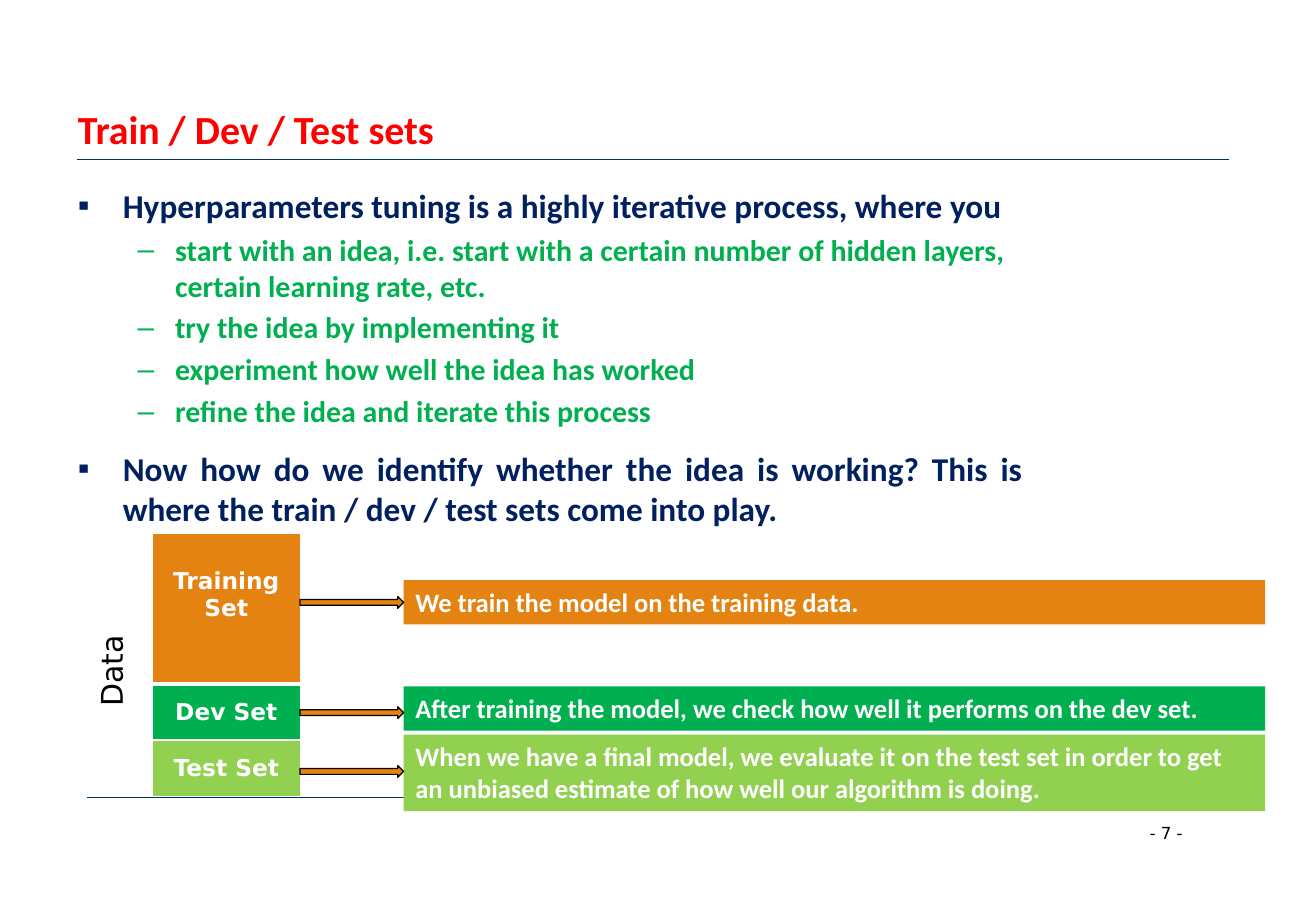
"""Build the slide on train, dev and test sets."""
from lxml import etree
from pptx import Presentation
from pptx import util as u
from pptx.dml.color import RGBColor
from pptx.enum import shapes, text
from pptx.oxml import ns

HUES = {"red": "FF0000", "navy": "002060", "green": "00B050", "orange": "E48312",
        "lime": "92D050", "white": "FFFFFF", "black": "000000", "rule": "003366"}


def style(frame, size, hue, bold=False, font="Calibri"):
    for para in frame.paragraphs:
        for run in para.runs:
            run.font.size, run.font.bold, run.font.name = u.Pt(size), bold, font
            run.font.color.rgb = RGBColor.from_string(HUES[hue])


def place(shape, left, top, width, height):
    shape.left, shape.top = u.Cm(left), u.Cm(top)
    shape.width, shape.height = u.Cm(width), u.Cm(height)


deck = Presentation()
deck.slide_width, deck.slide_height = u.Cm(27.94), u.Cm(19.05)
slide = deck.slides.add_slide(deck.slide_layouts[1])
parts = slide.shapes

for left, top in [(1.63, 3.38), (1.85, 16.94)]:
    rule = parts.add_connector(shapes.MSO_CONNECTOR.STRAIGHT, u.Cm(left), u.Cm(top),
                               u.Cm(left + 24.46), u.Cm(top))
    rule.line.color.rgb = RGBColor.from_string(HUES["rule"])
    rule.line.width = u.Pt(0.75)
    etree.SubElement(rule._element.spPr, ns.qn("a:effectLst"))

title = parts.title
place(title, 1.4, 2.11, 19.56, 1.22)
title.text_frame.text = "Train / Dev / Test sets"
title.text_frame.auto_size = text.MSO_AUTO_SIZE.NONE
title.text_frame.vertical_anchor = text.MSO_ANCHOR.MIDDLE
title.text_frame.paragraphs[0].alignment = text.PP_ALIGN.LEFT
style(title.text_frame, 24, "red", True)

points = [
    (0, "Hyperparameters tuning is a highly iterative process, where you"),
    (1, "start with an idea, i.e. start with a certain number of hidden layers, "
        "certain learning rate, etc."),
    (1, "try the idea by implementing it"),
    (1, "experiment how well the idea has worked"),
    (1, "refine the idea and iterate this process"),
    (0, "Now how do we identify whether the idea is working? This is where the "
        "train / dev / test sets come into play."),
]
body = slide.placeholders[1]
place(body, 1.4, 3.81, 20.57, 7.72)
frame = body.text_frame
frame.text = "\n".join(words for _, words in points)
frame.auto_size = text.MSO_AUTO_SIZE.NONE
style(frame, 20, "navy", True)
for para, (level, _) in zip(frame.paragraphs, points):
    para.level = level
    if level:
        para.runs[0].font.size = u.Pt(18)
        para.runs[0].font.color.rgb = RGBColor.from_string(HUES["green"])
    else:
        para.space_before = u.Pt(12)
        etree.SubElement(para._p.get_or_add_pPr(), ns.qn("a:buChar"), char="▪")
frame.paragraphs[-1].alignment = text.PP_ALIGN.JUSTIFY

sets = [
    ("Training Set", "orange", 3.2, 12.32, 0.94, 12.67,
     "We train the model on the training data."),
    ("Dev Set", "green", 1.19, 14.58, 0.94, 15.01,
     "After training the model, we check how well it performs on the dev set."),
    ("Test Set", "lime", 1.19, 15.6, 1.63, 16.26,
     "When we have a final model, we evaluate it on the test set in order to get "
     "an unbiased estimate of how well our algorithm is doing."),
]
grid = parts.add_table(3, 1, u.Cm(3.23), u.Cm(11.33), u.Cm(3.15), u.Cm(5.58)).table
for row, (name, hue, tall, top, height, tip, words) in enumerate(sets):
    grid.rows[row].height = u.Cm(tall)
    cell = grid.cell(row, 0)
    cell.text_frame.text = name
    cell.text_frame.paragraphs[0].alignment = text.PP_ALIGN.CENTER
    cell.vertical_anchor = text.MSO_ANCHOR.MIDDLE
    style(cell.text_frame, 14, "white", True, "DejaVu Sans")
    props = cell._tc.get_or_add_tcPr()
    for side in ["lnL", "lnR", "lnT", "lnB"]:
        thick = 3 if (row, side) in [(0, "lnB"), (1, "lnT")] else 1
        edge = etree.SubElement(props, ns.qn("a:" + side), w=str(u.Pt(thick)))
        fill = etree.SubElement(edge, ns.qn("a:solidFill"))
        etree.SubElement(fill, ns.qn("a:srgbClr"), val=HUES["white"])
    cell.fill.solid()
    cell.fill.fore_color.rgb = RGBColor.from_string(HUES[hue])

    note = parts.add_shape(shapes.MSO_SHAPE.RECTANGLE, u.Cm(8.57), u.Cm(top),
                           u.Cm(18.29), u.Cm(height))
    note.line.fill.background()
    note.text_frame.text = words
    note.text_frame.word_wrap = True
    note.text_frame.vertical_anchor = text.MSO_ANCHOR.TOP
    note.text_frame.paragraphs[0].alignment = text.PP_ALIGN.LEFT
    style(note.text_frame, 16, "white", True)

    arrow = parts.add_shape(shapes.MSO_SHAPE.RIGHT_ARROW, u.Cm(6.37), u.Cm(tip),
                            u.Cm(2.2), u.Cm(0.25))
    arrow.line.color.rgb = RGBColor.from_string(HUES["black"])
    arrow.line.width = u.Pt(0.75)
    for shape, shade in [(note, hue), (arrow, "orange")]:
        shape.shadow.inherit = False
        shape.fill.solid()
        shape.fill.fore_color.rgb = RGBColor.from_string(HUES[shade])
grid.cell(0, 0).margin_bottom = u.Cm(0.72)

side = parts.add_textbox(u.Cm(1.85), u.Cm(13.08), u.Cm(1.27), u.Cm(2.18))
side.text_frame.text = "Data"
side.text_frame.word_wrap = True
side.text_frame._txBody.bodyPr.set("vert", "vert270")
style(side.text_frame, 18, "black", font="DejaVu Sans")

page = parts.add_textbox(u.Cm(24.16), u.Cm(17.35), u.Cm(1.7), u.Cm(0.69))
page.text_frame.text = "- 7 -"
style(page.text_frame, 10, "black", font="DejaVu Sans")

deck.save("out.pptx")
